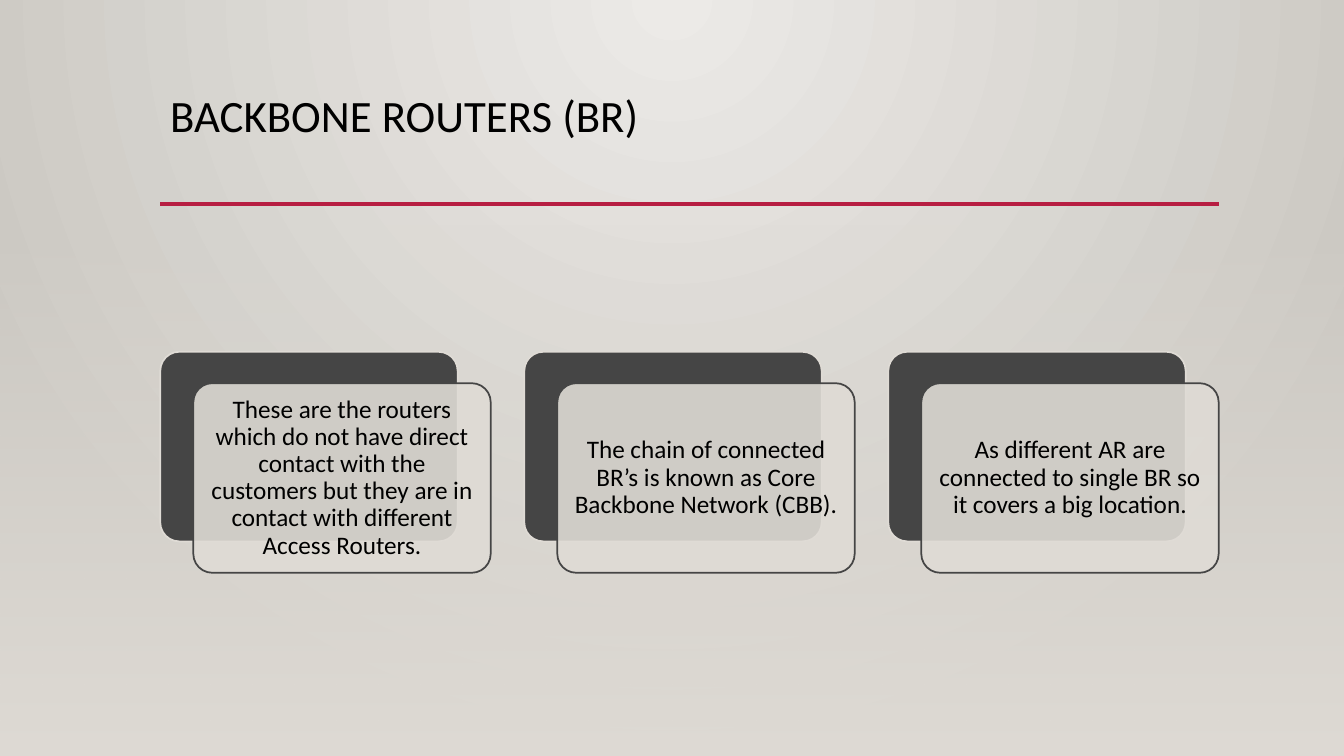
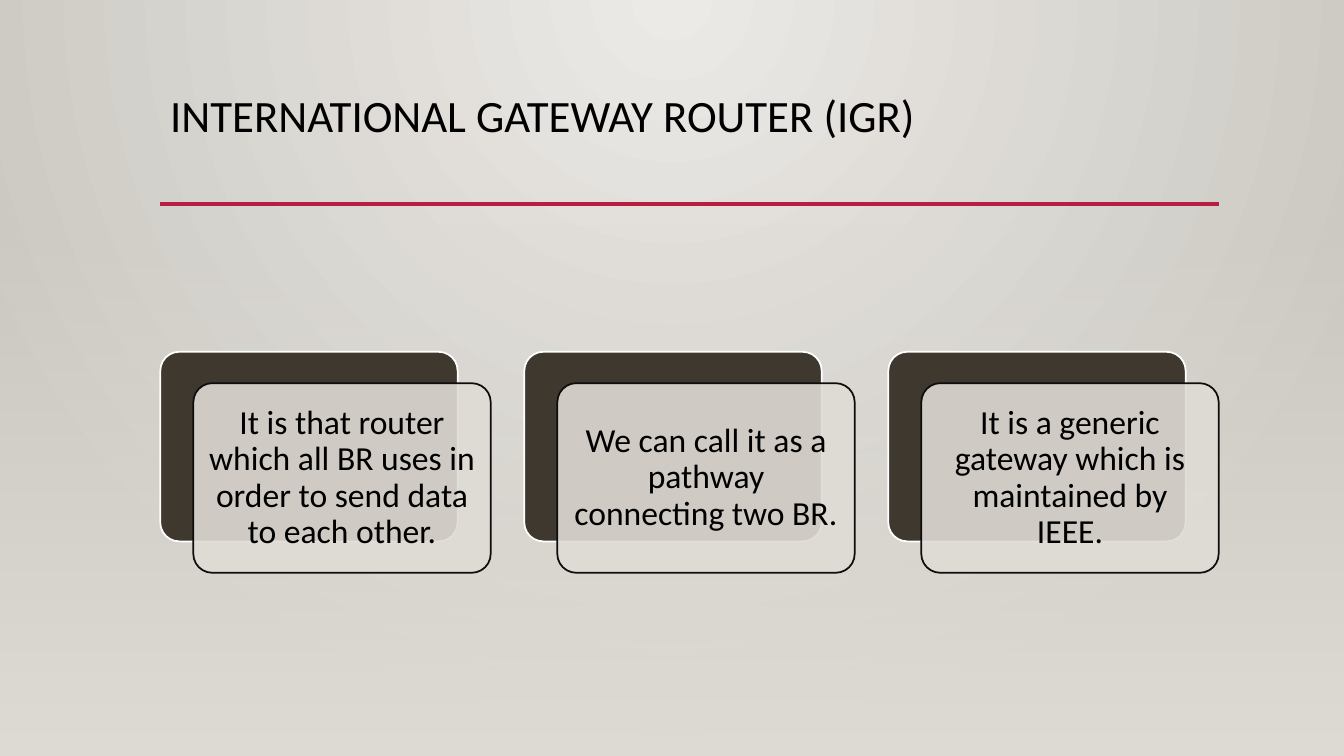
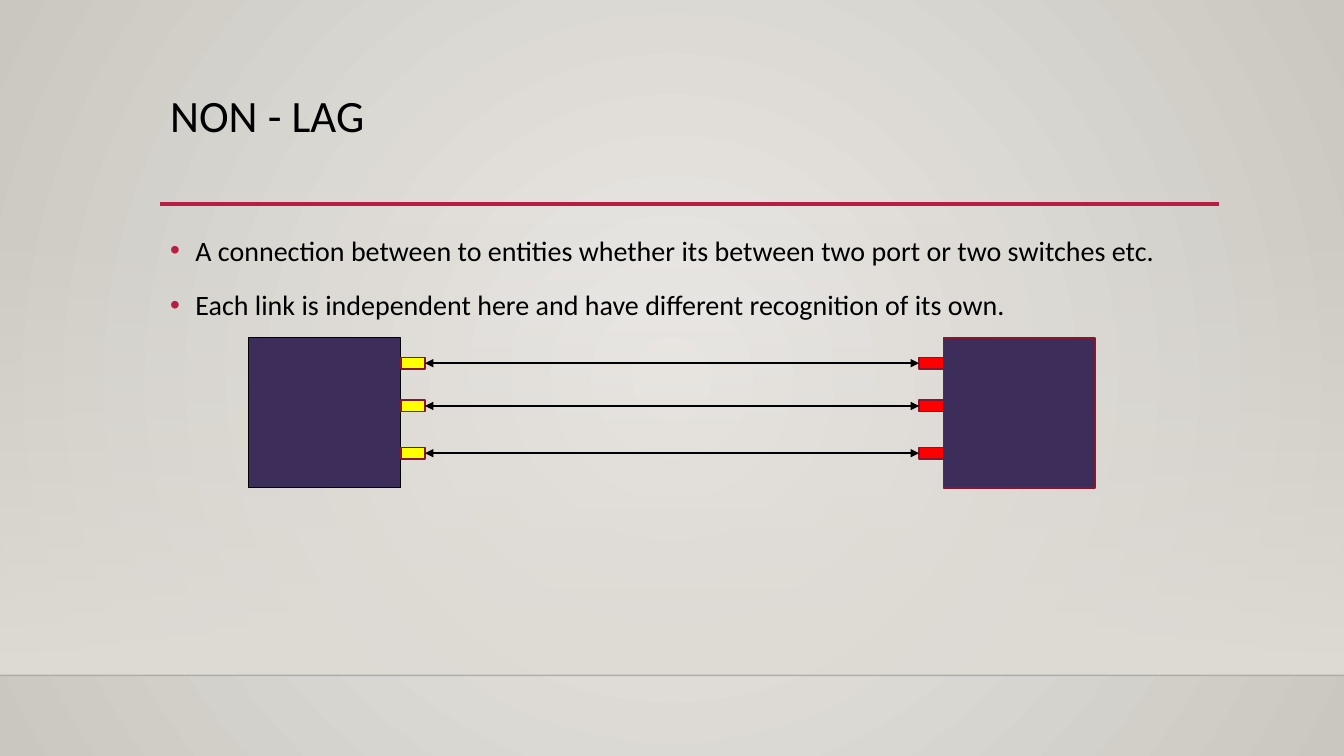
from lxml import etree
from pptx import Presentation
from pptx.dml.color import RGBColor
from pptx.enum import shapes, text
from pptx.oxml import ns
from pptx.util import Pt

BLACK = RGBColor(0x00, 0x00, 0x00)
WHITE = RGBColor(0xFF, 0xFF, 0xFF)
STONE_LIGHT = RGBColor(0xEC, 0xEA, 0xE7)
STONE_DARK = RGBColor(0xCA, 0xC7, 0xC1)
STONE = RGBColor(0xDF, 0xDB, 0xD5)
CRIMSON = RGBColor(0xB7, 0x1E, 0x42)
DARK_CRIMSON = RGBColor(0x87, 0x16, 0x31)
CHARCOAL = RGBColor(0x45, 0x45, 0x45)
BROWN = RGBColor(0x3E, 0x38, 0x2F)
NEAR_BLACK = RGBColor(0x0D, 0x0D, 0x0D)
PURPLE = RGBColor(0x3C, 0x2D, 0x5A)
YELLOW = RGBColor(0xFF, 0xFF, 0x00)
RED = RGBColor(0xFF, 0x00, 0x00)

SLIDE_W, SLIDE_H = 960, 540
LEFT, CONTENT_W = 114.5, 756
TOP_GLOW = (43, 0, 43, 100)
CENTRE_GLOW = (50, 50, 50, 50)
HORIZON = 482.4


def add_xml(parent, tag, **attributes):
    return etree.SubElement(parent, ns.qn(tag), attributes)


def set_alpha(properties, percent):
    color = next(properties.iter(ns.qn("a:srgbClr")))
    add_xml(color, "a:alpha", val=str(percent * 1000))


def set_gradient(properties, stops, glow=None):
    """Replace a solid fill by stops of (colour, opacity); glow makes it circular."""
    gradient = etree.Element(ns.qn("a:gradFill"), rotWithShape="1")
    stop_list = add_xml(gradient, "a:gsLst")
    for position, (color, opacity) in zip((0, 100000), stops):
        stop = add_xml(stop_list, "a:gs", pos=str(position))
        add_xml(stop, "a:srgbClr", val=str(color))
        set_alpha(stop, opacity)
    if glow:
        circle = add_xml(gradient, "a:path", path="circle")
        sides = {side: str(share * 1000) for side, share in zip("ltrb", glow)}
        add_xml(circle, "a:fillToRect", **sides)
    else:
        add_xml(gradient, "a:lin", ang="5400000", scaled="0")
    properties.replace(properties.find(ns.qn("a:solidFill")), gradient)


class Deck:
    font = "Calibri"

    def __init__(self):
        self.presentation = Presentation()
        self.presentation.slide_width = Pt(SLIDE_W)
        self.presentation.slide_height = Pt(SLIDE_H)
        self.slide = None

    def start(self, title, glow, haze_bottom=SLIDE_H):
        """Add a slide with its backdrop, title and rule."""
        self.slide = self.presentation.slides.add_slide(self.presentation.slide_layouts[6])
        self.slide.background.fill.solid()
        backdrop = next(self.slide.element.iter(ns.qn("p:bgPr")))
        set_gradient(backdrop, [(STONE_LIGHT, 100), (STONE_DARK, 100)], glow)

        haze_top = 159.1
        haze = self.shape("RECTANGLE", 0, haze_top, SLIDE_W, haze_bottom - haze_top, STONE)
        set_gradient(haze.element.spPr, [(STONE, 0), (STONE, 100)])
        self.line(LEFT, LEFT + CONTENT_W, 145.8, CRIMSON, 2.5)
        self.add_words(self.text_frame(63.4, 82.8).paragraphs[0], title, 32, 0.9)

    def shape(self, preset, x, y, width, height, fill, outline=None, weight=1.25):
        shape = self.slide.shapes.add_shape(
            shapes.MSO_SHAPE[preset], Pt(x), Pt(y), Pt(width), Pt(height))
        shape.shadow.inherit = False
        shape.fill.solid()
        shape.fill.fore_color.rgb = fill
        if outline is None:
            shape.line.fill.background()
        else:
            shape.line.color.rgb = outline
            shape.line.width = Pt(weight)
        return shape

    def line(self, x1, x2, y, color, weight, arrows=False):
        line = self.slide.shapes.add_connector(
            shapes.MSO_CONNECTOR.STRAIGHT, Pt(x1), Pt(y), Pt(x2), Pt(y))
        line.line.color.rgb = color
        line.line.width = Pt(weight)
        if arrows:
            for end in ("a:headEnd", "a:tailEnd"):
                add_xml(line.element.spPr.find(ns.qn("a:ln")), end, type="triangle")
        add_xml(line.element.spPr, "a:effectLst")
        return line

    def text_frame(self, y, height):
        frame = self.slide.shapes.add_textbox(
            Pt(LEFT), Pt(y), Pt(CONTENT_W), Pt(height)).text_frame
        frame.word_wrap = True
        return frame

    def add_words(self, paragraph, words, size, spacing):
        paragraph.line_spacing = spacing
        run = paragraph.add_run()
        run.text = words
        run.font.name = self.font
        run.font.size = Pt(size)
        run.font.color.rgb = BLACK

    def bullets(self, y, height, points):
        frame = self.text_frame(y, height)
        for index, point in enumerate(points):
            paragraph = frame.add_paragraph() if index else frame.paragraphs[0]
            self.add_words(paragraph, point, 20, 1.2)
            paragraph.space_before = Pt(10)
            properties = paragraph._p.get_or_add_pPr()
            properties.set("marL", str(Pt(18)))
            properties.set("indent", str(Pt(-18)))
            add_xml(add_xml(properties, "a:buClr"), "a:srgbClr", val=str(CRIMSON))
            add_xml(properties, "a:buFont", typeface="Arial")
            add_xml(properties, "a:buChar", char="•")

    def cards(self, statements, size, inset, back, back_line, front_line):
        """Spread overlapping pairs of rounded cards over the content width."""
        width, height, top = 212.4, 135.4, 251.3
        shift_x, shift_y = 23.6, 22.4
        pitch = (CONTENT_W - shift_x - width) / (len(statements) - 1)
        for index, statement in enumerate(statements):
            x = LEFT + index * pitch
            rear = self.shape("ROUNDED_RECTANGLE", x, top, width, height, back, back_line)
            front = self.shape("ROUNDED_RECTANGLE", x + shift_x, top + shift_y,
                               width, height, STONE, front_line)
            for card in (rear, front):
                card.adjustments[0] = 0.1
            set_alpha(front.element.spPr, 90)
            frame = front.text_frame
            frame.word_wrap = True
            frame.vertical_anchor = text.MSO_ANCHOR.MIDDLE
            frame.margin_left = frame.margin_right = Pt(inset)
            frame.margin_top = frame.margin_bottom = Pt(inset)
            frame.paragraphs[0].alignment = text.PP_ALIGN.CENTER
            self.add_words(frame.paragraphs[0], statement, size, 0.9)

    def linked_switches(self, link_levels):
        """Draw two switches joined port to port at each level."""
        top, width, height = 241.2, 108.4, 107.3
        left_x, right_x = 177.8, 673.9
        port_w, port_h = 17.4, 8
        left_port = left_x + width
        right_port = right_x - port_w
        process = "FLOWCHART_PROCESS"
        self.shape(process, left_x, top, width, height, PURPLE, BLACK, 0.75)
        self.shape(process, right_x, top, width, height, PURPLE, DARK_CRIMSON)
        for level in link_levels:
            for x, color in ((left_port, YELLOW), (right_port, RED)):
                self.shape(process, x, level - port_h / 2, port_w, port_h, color, DARK_CRIMSON)
            self.line(left_port + port_w, right_port, level, BLACK, 1.75, arrows=True)


def main():
    deck = Deck()

    deck.start("BACKBONE ROUTERS (BR)", TOP_GLOW)
    deck.cards([
        "These are the routers which do not have direct contact with the customers "
        "but they are in contact with different Access Routers.",
        "The chain of connected BR’s is known as Core Backbone Network (CBB).",
        "As different AR are connected to single BR so it covers a big location.",
    ], 18, 5, CHARCOAL, STONE, CHARCOAL)

    deck.start("INTERNATIONAL GATEWAY ROUTER (IGR)", TOP_GLOW)
    deck.cards([
        "It is that router which all BR uses in order to send data to each other.",
        "We can call it as a pathway connecting two BR.",
        "It is a generic gateway which is maintained by IEEE.",
    ], 24, 7.2, BROWN, WHITE, NEAR_BLACK)

    deck.start("NON - LAG", CENTRE_GLOW, HORIZON)
    horizon = deck.line(0, SLIDE_W, HORIZON, BLACK, 1)
    set_alpha(horizon.element.spPr, 20)
    deck.bullets(158.4, 271.4, [
        "A connection between to entities whether its between two port or two switches etc.",
        "Each link is independent here and have different recognition of its own.",
    ])
    deck.linked_switches([259.4, 290, 323.7])

    deck.presentation.save("out.pptx")


if __name__ == "__main__":
    main()
